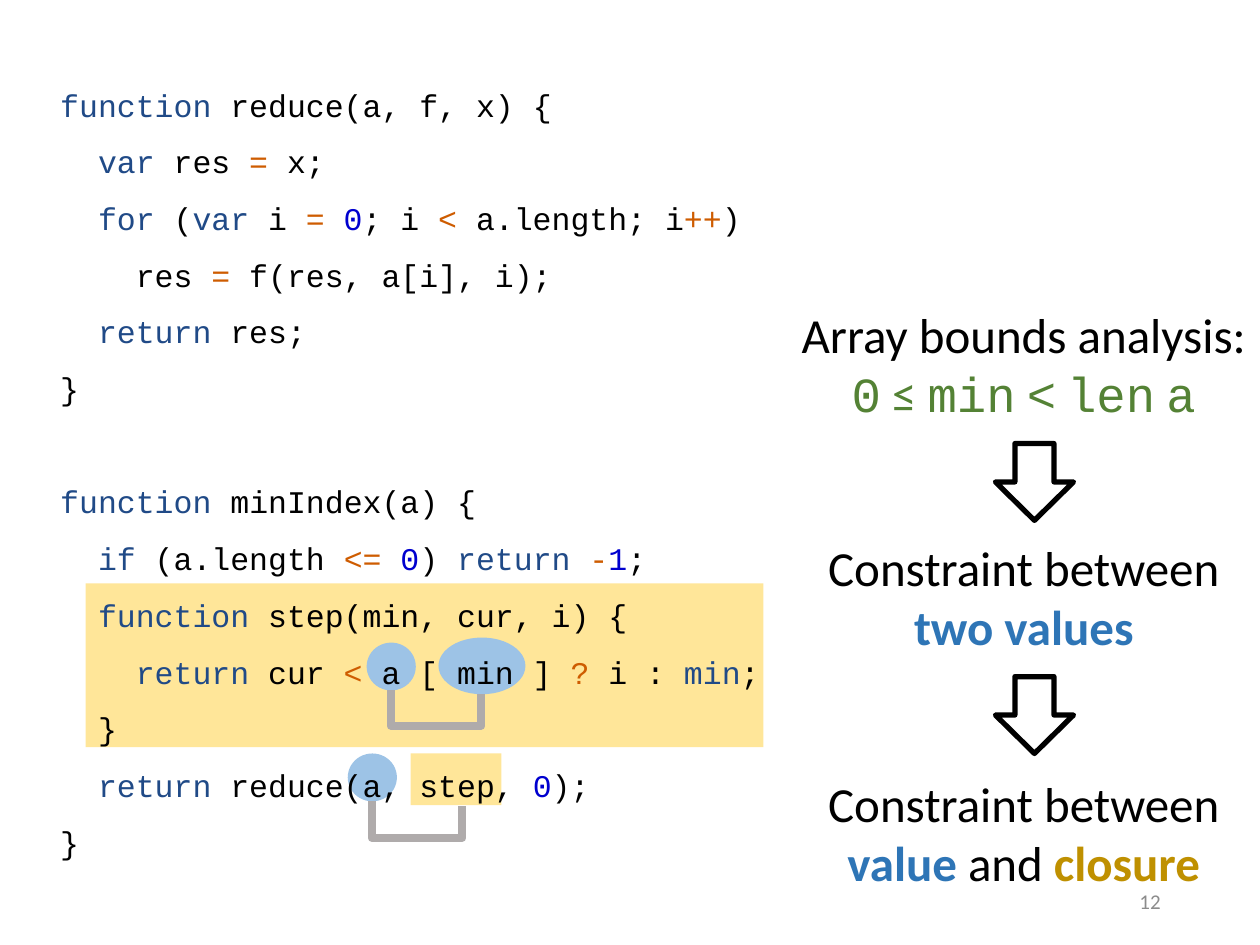
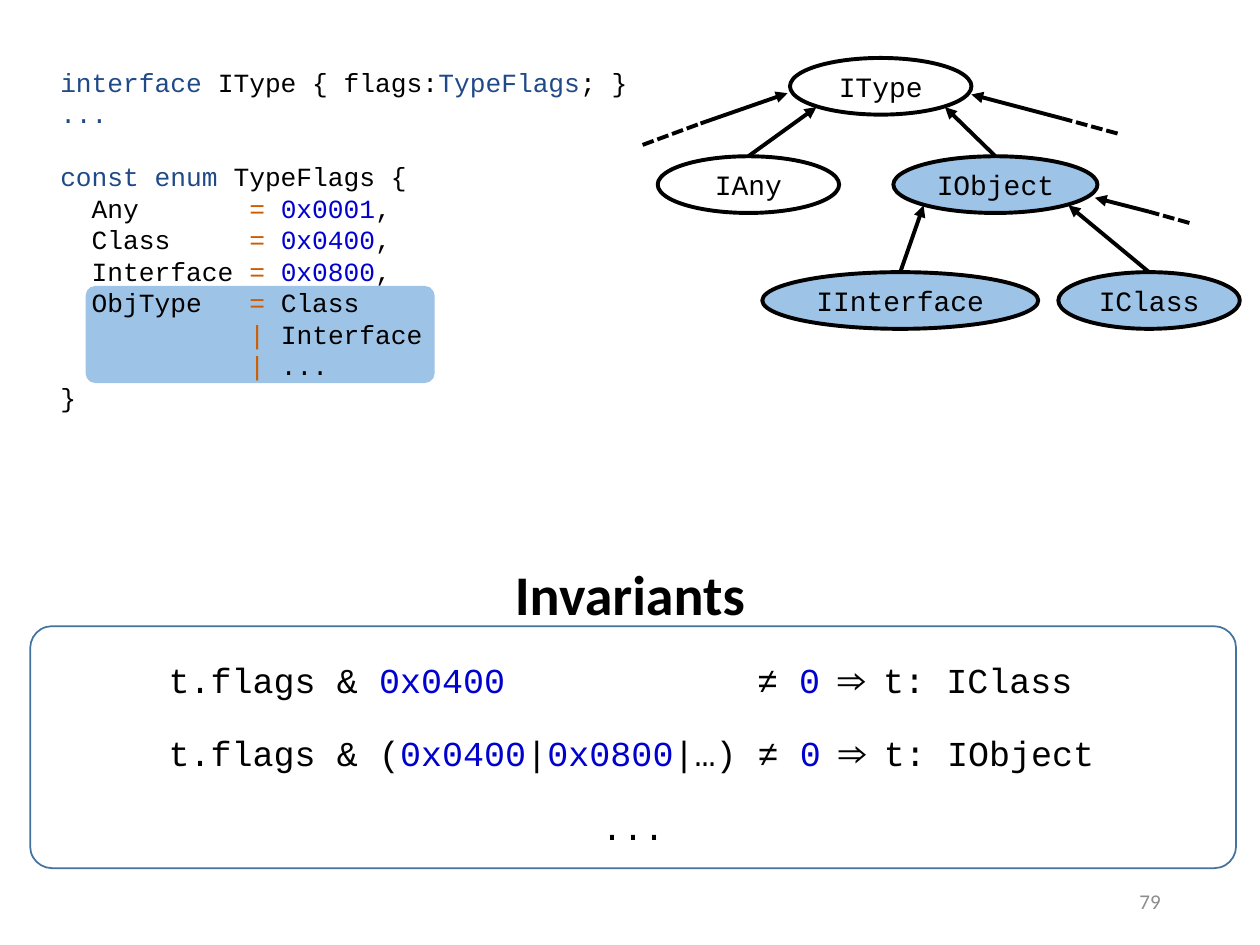
from dataclasses import dataclass

from lxml import etree
from pptx import Presentation
from pptx.dml.color import RGBColor
from pptx.enum import dml, shapes, text
from pptx.oxml import ns
from pptx.util import Inches, Pt

SHAPE = shapes.MSO_SHAPE
ALIGN = text.PP_ALIGN
ANCHOR = text.MSO_ANCHOR


@dataclass(frozen=True)
class Theme:
    body: str = "Calibri"
    mono: str = "Courier New"
    ink: str = "000000"
    white: str = "FFFFFF"
    muted: str = "8C8C8C"
    keyword: str = "204A87"
    operator: str = "CE5C00"
    number: str = "0000CF"
    value: str = "2E75B6"
    closure: str = "BF9000"
    formula: str = "548235"
    blue: str = "9DC3E6"
    yellow: str = "FFE699"
    bracket: str = "AFABAB"
    frame: str = "43739E"
    title_size: float = 32
    claim_size: float = 28
    invariant_size: float = 20
    code_size: float = 18
    node_size: float = 16
    enum_size: float = 15
    number_size: float = 12


T = Theme()

# A marked piece of text is ~, a letter from this table, the words, and ~.
MARKS = {
    "k": dict(color=T.keyword),
    "o": dict(color=T.operator),
    "n": dict(color=T.number),
    "v": dict(color=T.value, bold=True),
    "c": dict(color=T.closure, bold=True),
    "f": dict(color=T.formula, font=T.mono),
    "s": dict(color=T.formula),
}

REDUCE_CODE = """\
~kfunction~ reduce(a, f, x) {
  ~kvar~ res ~o=~ x;
  ~kfor~ (~kvar ~i ~o= ~~n0~; i ~o< ~a.length; i~o++~)
    res ~o=~ f(res, a[i], i);
  ~kreturn~ res;
}

~kfunction ~minIndex(a) {
  ~kif~ (a.length ~o<= ~~n0~) ~kreturn ~~o-~~n1~;
  ~kfunction~ step(min, cur, i) {
    ~kreturn~ cur ~o<~ a [ min ] ~o? ~i : ~kmin~;
  }
  ~kreturn~ reduce(a, step, ~n0~);
}"""

ENUM_CODE = """\
~kinterface ~IType { flags:~kTypeFlags~; }
~k...~

~kconst enum ~TypeFlags {
  Any\t~o= ~~n0x0001~,
  Class\t~o= ~~n0x0400~,
  Interface\t~o= ~~n0x0800~,
  ObjType\t~o=~ Class
            ~o|~ Interface
            ~o|~ ...
}"""


def add_xml(parent, tag, **attributes):
    return etree.SubElement(parent, ns.qn(tag), attributes)


def add_run(p, words, size, font, color, bold=False):
    r = p.add_run()
    r.text = words
    r.font.size, r.font.name, r.font.bold = Pt(size), font, bold
    r.font.color.rgb = RGBColor.from_string(color)


def write(tf, marked, size, font=T.body, color=T.ink, bold=False, align=ALIGN.LEFT,
          anchor=ANCHOR.TOP, spacing=None, first_spacing=None, blank=0, tab=None):
    """Fill a text frame from marked lines; an empty line becomes a gap of blank points."""
    tf.word_wrap, tf.vertical_anchor = True, anchor
    p, gap = None, False
    for line in marked.split("\n"):
        if not line:
            gap = True
            continue
        first = p is None
        p = tf.paragraphs[0] if first else tf.add_paragraph()
        p.alignment = align
        p.line_spacing = first_spacing if first and first_spacing else spacing
        if gap:
            p.space_before, gap = Pt(blank), False
        if tab and "\t" in line:
            tabs = add_xml(p._p.get_or_add_pPr(), "a:tabLst")
            add_xml(tabs, "a:tab", pos=str(Inches(tab)), algn="l")
        base = dict(size=size, font=font, color=color, bold=bold)
        for i, piece in enumerate(line.split("~")):
            if i % 2:
                add_run(p, piece[1:], **{**base, **MARKS[piece[0]]})
            elif piece:
                add_run(p, piece, **base)


class Deck:
    def __init__(self):
        self.prs = Presentation()
        self.prs.slide_width, self.prs.slide_height = Inches(10), Inches(7.5)
        self.s = None

    def new_slide(self, number, title=None, title_box=None):
        layout = self.prs.slide_layouts[5 if title else 6]
        self.s = self.prs.slides.add_slide(layout)
        if title:
            sp = self.s.shapes.title
            sp.left, sp.top, sp.width, sp.height = map(Inches, title_box)
            sp.text_frame.auto_size = text.MSO_AUTO_SIZE.NONE
            write(sp.text_frame, title, T.title_size, bold=True, align=ALIGN.CENTER)
        self.text((7.06, 6.95, 2.25, 0.4), number, T.number_size, color=T.muted,
                  align=ALIGN.RIGHT, anchor=ANCHOR.MIDDLE)

    def text(self, box, marked, size, **fmt):
        sp = self.s.shapes.add_textbox(*map(Inches, box))
        write(sp.text_frame, marked, size, **fmt)

    def outline(self, sp, color, width):
        if color:
            sp.line.color.rgb = RGBColor.from_string(color)
            sp.line.width = Pt(width)
        else:
            sp.line.fill.background()

    def shape(self, kind, box, fill=None, line=None, width=1, radius=None):
        sp = self.s.shapes.add_shape(kind, *map(Inches, box))
        sp.shadow.inherit = False
        if fill:
            sp.fill.solid()
            sp.fill.fore_color.rgb = RGBColor.from_string(fill)
        else:
            sp.fill.background()
        self.outline(sp, line, width)
        if radius is not None:
            sp.adjustments[0] = radius
        return sp

    def node(self, name, box, fill):
        sp = self.shape(SHAPE.OVAL, box, fill, T.ink, 2.25)
        write(sp.text_frame, name, T.node_size, font=T.mono, align=ALIGN.CENTER,
              anchor=ANCHOR.MIDDLE)
        sp.text_frame.word_wrap = False

    def bracket(self, left, top, right, right_top, bottom):
        """Draw a U that ties together two marked names."""
        points = [(left, bottom), (right, bottom), (right, right_top)]
        builder = self.s.shapes.build_freeform(Inches(left), Inches(top))
        builder.add_line_segments([(Inches(x), Inches(y)) for x, y in points], close=False)
        sp = builder.convert_to_shape()
        sp.shadow.inherit = False
        sp.fill.background()
        self.outline(sp, T.bracket, 4.5)

    def line(self, start, end, arrow=True, dashed=False):
        c = self.s.shapes.add_connector(shapes.MSO_CONNECTOR.STRAIGHT,
                                        *map(Inches, (*start, *end)))
        self.outline(c, T.ink, 2.25)
        if dashed:
            c.line.dash_style = dml.MSO_LINE.SQUARE_DOT
        if arrow:
            add_xml(c.line._get_or_add_ln(), "a:tailEnd", type="triangle")
        add_xml(c._element.spPr, "a:effectLst")


def closure_slide(deck):
    deck.new_slide("12")
    deck.shape(SHAPE.RECTANGLE, (3.26, 5.98, 0.72, 0.41), T.yellow)
    deck.shape(SHAPE.RECTANGLE, (0.68, 4.63, 5.38, 1.3), T.yellow)
    for spot in [(2.76, 5.98, 0.39, 0.38), (2.91, 5.1, 0.39, 0.38), (3.48, 5.06, 0.69, 0.45)]:
        deck.shape(SHAPE.OVAL, spot, T.blue)
    deck.bracket(2.95, 6.36, 3.67, 6.4, 6.65)
    deck.bracket(3.1, 5.48, 3.82, 5.51, 5.76)
    deck.text((0.38, 0.48, 5.86, 6.46), REDUCE_CODE, T.code_size, font=T.mono,
              spacing=1.5, blank=32.4)

    claims = [
        (2.37, "Array bounds analysis:\n~f0~~s ≤ ~~fmin~~s ~~f<~~s ~~flen~~s ~~fa~"),
        (4.22, "Constraint between ~vtwo values~"),
        (6.09, "Constraint between ~vvalue ~and ~cclosure~"),
    ]
    for top, claim in claims:
        deck.text((6.24, top, 3.77, 1.04), claim, T.claim_size, align=ALIGN.CENTER)
    for top in (3.52, 5.37):
        deck.shape(SHAPE.DOWN_ARROW, (7.9, top, 0.62, 0.61), line=T.ink, width=3)


def invariants_slide(deck):
    deck.new_slide("79", "Invariants", (0, 4.39, 10, 0.64))
    deck.shape(SHAPE.ROUNDED_RECTANGLE, (0.68, 2.27, 2.77, 0.77), T.blue, radius=0.1)
    deck.text((0.38, 0.35, 5.81, 3), ENUM_CODE, T.enum_size, font=T.mono,
              first_spacing=1.5, blank=18, tab=1.5)

    deck.shape(SHAPE.ROUNDED_RECTANGLE, (0.24, 4.97, 9.57, 1.92), line=T.frame, radius=0.09)
    invariants = [
        "t.flags & ~n0x0400~\t≠~n 0 ~⇒ t: IClass",
        "t.flags & (~n0x0400~|~n0x0800~|…) ≠ ~n0 ~⇒ t: IObject",
    ]
    for i, invariant in enumerate(invariants):
        deck.text((1.24, 5.18 + 0.58 * i, 8.57, 0.44), invariant, T.invariant_size,
                  font=T.mono, tab=4.67)
    deck.text((0.24, 6.34, 9.57, 0.44), "...", T.invariant_size, font=T.mono,
              align=ALIGN.CENTER)

    nodes = [
        ("IType", 6.27, 0.46, 1.44, T.white),
        ("IAny", 5.22, 1.24, 1.44, T.white),
        ("IObject", 7.09, 1.24, 1.62, T.blue),
        ("IInterface", 6.05, 2.16, 2.19, T.blue),
        ("IClass", 8.4, 2.16, 1.44, T.blue),
    ]
    tops = {}
    for name, left, top, width, fill in nodes:
        deck.node(name, (left, top, width, 0.45), fill)
        tops[name] = (left + width / 2, top)

    parent_ends = {"IAny": (6.48, 0.85), "IObject": (7.5, 0.85),
                   "IInterface": (7.33, 1.63), "IClass": (8.48, 1.63)}
    for name, end in parent_ends.items():
        deck.line(tops[name], end)

    further_types = [
        ((5.1, 1.15), (5.56, 0.98), (6.25, 0.74)),
        ((8.87, 1.06), (8.43, 0.94), (7.71, 0.75)),
        ((9.44, 1.77), (9.12, 1.68), (8.69, 1.57)),
    ]
    for far, middle, end in further_types:
        deck.line(far, middle, arrow=False, dashed=True)
        deck.line(middle, end)


def main():
    deck = Deck()
    closure_slide(deck)
    invariants_slide(deck)
    deck.prs.save("out.pptx")


if __name__ == "__main__":
    main()
